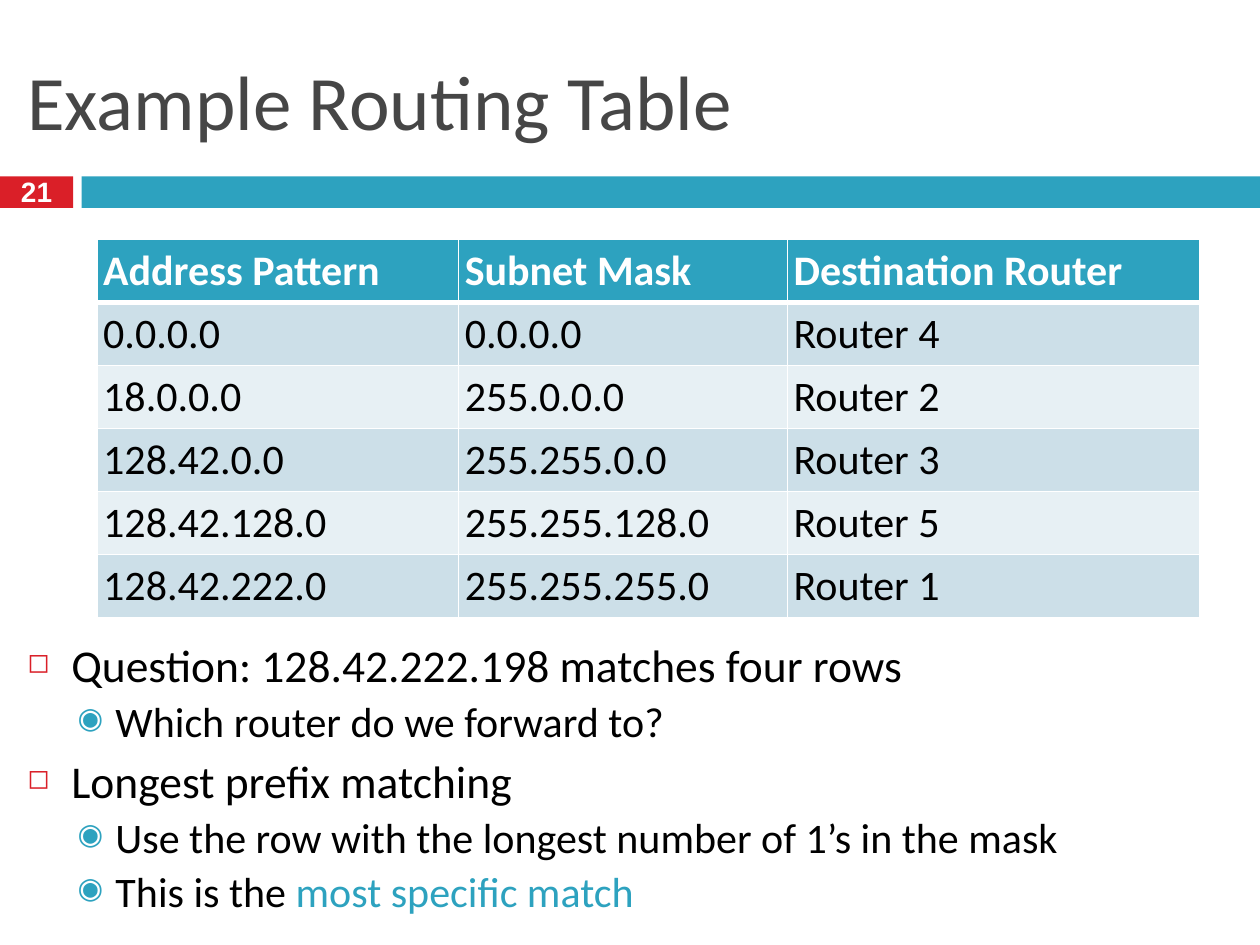
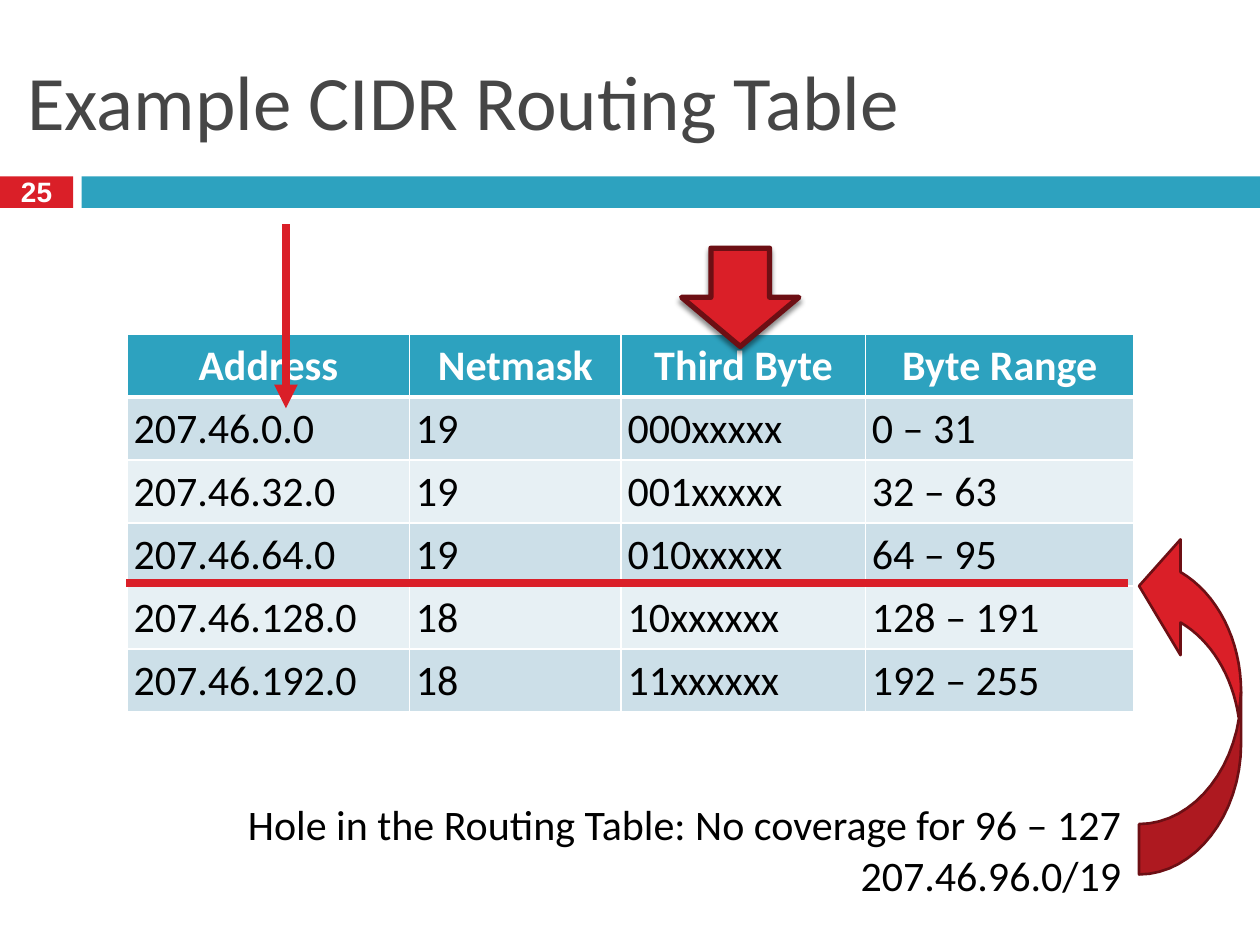
"""Build two slides on routing tables: longest prefix matching and CIDR."""
import dataclasses

import lxml.etree
import pptx
import pptx.dml.color
import pptx.enum.shapes
import pptx.enum.text
import pptx.oxml.ns
import pptx.util

Pt = pptx.util.Pt
RGB = pptx.dml.color.RGBColor.from_string
ALIGN = pptx.enum.text.PP_ALIGN
SHAPE = pptx.enum.shapes.MSO_SHAPE
STRAIGHT = pptx.enum.shapes.MSO_CONNECTOR.STRAIGHT
MIDDLE = pptx.enum.text.MSO_ANCHOR.MIDDLE


@dataclasses.dataclass(frozen=True)
class Theme:
    red: str = "DA1F28"
    tail_red: str = "AE1920"
    outline_red: str = "6D0F14"
    teal: str = "2DA2BF"
    row_dark: str = "CCDFE8"
    row_light: str = "E7F0F4"
    title: str = "464646"
    black: str = "000000"
    white: str = "FFFFFF"
    font: str = "Calibri"
    number_font: str = "Arial"
    title_size: int = 44
    lead_size: int = 26
    text_size: int = 24
    number_size: int = 16
    inset: float = 3.6


theme = Theme()


def add_node(parent, tag, **attributes):
    node = lxml.etree.SubElement(parent, pptx.oxml.ns.qn(tag))
    for name, value in attributes.items():
        node.set(name, str(value))
    return node


def write_line(frame, index, text, size, color, font=theme.font, bold=False, align=ALIGN.LEFT):
    frame.margin_left = frame.margin_right = Pt(theme.inset)
    frame.margin_top = frame.margin_bottom = Pt(theme.inset)
    para = frame.paragraphs[0] if index == 0 else frame.add_paragraph()
    para.alignment = align
    para.add_run().text = text
    para.font.name = font
    para.font.size = Pt(size)
    para.font.bold = bold
    para.font.color.rgb = RGB(color)
    return para


deck = pptx.Presentation()
deck.slide_width, deck.slide_height = Pt(720), Pt(540)

slides = [
    dict(
        title="Example Routing Table", number="21",
        left=55.4, top=136.8, header_align=ALIGN.LEFT,
        widths=[206.6, 187.9, 235.5],
        rows=[
            ["Address Pattern", "Subnet Mask", "Destination Router"],
            ["0.0.0.0", "0.0.0.0", "Router 4"],
            ["18.0.0.0", "255.0.0.0", "Router 2"],
            ["128.42.0.0", "255.255.0.0", "Router 3"],
            ["128.42.128.0", "255.255.128.0", "Router 5"],
            ["128.42.222.0", "255.255.255.0", "Router 1"],
        ],
    ),
    dict(
        title="Example CIDR Routing Table", number="25",
        left=72.7, top=190.8, header_align=ALIGN.CENTER,
        widths=[161.3, 121, 139.7, 153.3],
        rows=[
            ["Address", "Netmask", "Third Byte", "Byte Range"],
            ["207.46.0.0", "19", "000xxxxx", "0 – 31"],
            ["207.46.32.0", "19", "001xxxxx", "32 – 63"],
            ["207.46.64.0", "19", "010xxxxx", "64 – 95"],
            ["207.46.128.0", "18", "10xxxxxx", "128 – 191"],
            ["207.46.192.0", "18", "11xxxxxx", "192 – 255"],
        ],
    ),
]
row_height = 29.2

pages = []
for content in slides:
    page = deck.slides.add_slide(deck.slide_layouts[6])
    pages.append(page)

    for left, width, color in [(0, 41.9, theme.red), (46.6, 673.4, theme.teal)]:
        band = page.shapes.add_shape(SHAPE.RECTANGLE, Pt(left), Pt(100.8), Pt(width), Pt(18))
        band.shadow.inherit = False
        band.fill.solid()
        band.fill.fore_color.rgb = RGB(color)
        band.line.fill.background()

    title = page.shapes.add_textbox(Pt(12), Pt(18), Pt(696), Pt(78)).text_frame
    title.word_wrap = True
    title.vertical_anchor = MIDDLE
    write_line(title, 0, content["title"], theme.title_size, theme.title)

    number = page.shapes.add_textbox(Pt(8.4), Pt(98.6), Pt(25), Pt(25)).text_frame
    number.word_wrap = False
    number.vertical_anchor = MIDDLE
    para = write_line(number, 0, content["number"], theme.number_size, theme.white,
                      theme.number_font, True, ALIGN.CENTER)
    para.line_spacing = 0.8

    rows, widths = content["rows"], content["widths"]
    table = page.shapes.add_table(
        len(rows), len(widths), Pt(content["left"]), Pt(content["top"]),
        Pt(sum(widths)), Pt(row_height * len(rows))).table
    table.horz_banding = False
    for column, width in zip(table.columns, widths):
        column.width = Pt(width)
    for row_index, texts in enumerate(rows):
        table.rows[row_index].height = Pt(row_height)
        header = row_index == 0
        if header:
            fill = theme.teal
        else:
            fill = theme.row_dark if row_index % 2 else theme.row_light
        for column_index, text in enumerate(texts):
            cell = table.cell(row_index, column_index)
            write_line(cell.text_frame, 0, text, theme.text_size,
                       theme.white if header else theme.black, bold=header,
                       align=content["header_align"] if header else ALIGN.LEFT)
            cell.margin_left = cell.margin_right = Pt(theme.inset)
            cell.margin_top = cell.margin_bottom = Pt(theme.inset)
            properties = cell._tc.get_or_add_tcPr()
            for side in "LRTB":
                thick = (row_index, side) in [(0, "B"), (1, "T")]
                border = add_node(properties, f"a:ln{side}", w=Pt(3 if thick else 1))
                add_node(add_node(border, "a:solidFill"), "a:srgbClr", val=theme.white)
            cell.fill.solid()
            cell.fill.fore_color.rgb = RGB(fill)

routing_page, cidr_page = pages

bullet_levels = [
    dict(size=theme.lead_size, margin=25.2, indent=-25.2, before=7,
         mark="◻", color=theme.red, percent=60000),
    dict(size=theme.text_size, margin=50.4, indent=-21.6, before=5,
         mark="◉", color=theme.teal, percent=70000),
]
bullets = [
    (0, "Question: 128.42.222.198 matches four rows", ""),
    (1, "Which router do we forward to?", ""),
    (0, "Longest prefix matching", ""),
    (1, "Use the row with the longest number of 1’s in the mask", ""),
    (1, "This is the ", "most specific match"),
]
body = routing_page.shapes.add_textbox(Pt(12), Pt(364.3), Pt(708), Pt(175.7)).text_frame
body.word_wrap = True
for index, (level, text, accent) in enumerate(bullets):
    style = bullet_levels[level]
    para = body.paragraphs[0] if index == 0 else body.add_paragraph()
    para.level = level
    para.line_spacing = 0.9
    para.space_before = Pt(style["before"] if index else 0)
    properties = para._p.get_or_add_pPr()
    properties.set("marL", str(Pt(style["margin"])))
    properties.set("indent", str(Pt(style["indent"])))
    add_node(add_node(properties, "a:buClr"), "a:srgbClr", val=style["color"])
    add_node(properties, "a:buSzPct", val=style["percent"])
    add_node(properties, "a:buChar", char=style["mark"])
    if index:
        body._txBody.remove(para._p)
    written = write_line(body, index, text, style["size"], theme.black)
    if index:
        written._p.insert(0, properties)
        written._p.remove(written._p.findall(pptx.oxml.ns.qn("a:pPr"))[1])
        written.font.name = theme.font
        written.font.size = Pt(style["size"])
        written.font.color.rgb = RGB(theme.black)
    if accent:
        span = written.add_run()
        span.text = accent
        span.font.color.rgb = RGB(theme.teal)

byte_arrow = cidr_page.shapes.add_shape(SHAPE.DOWN_ARROW, Pt(389.5), Pt(141.8), Pt(67), Pt(56.2))
byte_arrow.fill.solid()
byte_arrow.fill.fore_color.rgb = RGB(theme.red)
byte_arrow.line.color.rgb = RGB(theme.outline_red)
byte_arrow.line.width = Pt(3)
effects = add_node(byte_arrow._element.spPr, "a:effectLst")
shadow = add_node(effects, "a:outerShdw", blurRad=Pt(3), dist=Pt(2.4), dir=5400000, rotWithShape=0)
add_node(add_node(shadow, "a:srgbClr", val=theme.black), "a:alpha", val=45000)

hole_note = cidr_page.shapes.add_textbox(Pt(125.3), Pt(452.9), Pt(519.1), Pt(61.2)).text_frame
hole_note.word_wrap = False
hole_note.auto_size = pptx.enum.text.MSO_AUTO_SIZE.SHAPE_TO_FIT_TEXT
for index, text in enumerate(["Hole in the Routing Table: No coverage for 96 – 127",
                              "207.46.96.0/19"]):
    write_line(hole_note, index, text, theme.text_size, theme.black, align=ALIGN.RIGHT)

curved_arrow = [
    (theme.red, [
        [(650.9, 334.8)], [(674.6, 308.2)], [(674.6, 326.9)],
        [(695.5, 339.1), (709.2, 365.8), (709.2, 395.3)],
        [(707.8, 409.7)],
        [(704.2, 385.9), (691.9, 365.8), (674.6, 355.7)],
        [(674.6, 374.4)],
    ]),
    (theme.tail_red, [
        [(709.2, 424.8)],
        [(709.2, 465.8), (682.6, 499.7), (650.9, 499.7)],
        [(650.9, 470.9)],
        [(682.6, 470.9), (709.2, 437), (709.2, 395.3)],
    ]),
]
curve_steps = 16
for color, segments in curved_arrow:
    points = []
    for segment in segments:
        if len(segment) == 1:
            points += segment
            continue
        controls = [points[-1]] + segment
        for step in range(1, curve_steps + 1):
            t = step / curve_steps
            weights = [(1 - t) ** 3, 3 * t * (1 - t) ** 2, 3 * t ** 2 * (1 - t), t ** 3]
            points.append(tuple(sum(weight * control[axis]
                                    for weight, control in zip(weights, controls))
                                for axis in (0, 1)))
    corners = [(Pt(x), Pt(y)) for x, y in points]
    builder = cidr_page.shapes.build_freeform(*corners[0])
    builder.add_line_segments(corners[1:], close=True)
    piece = builder.convert_to_shape()
    piece.shadow.inherit = False
    piece.fill.solid()
    piece.fill.fore_color.rgb = RGB(color)
    piece.line.color.rgb = RGB(theme.outline_red)
    piece.line.width = Pt(1.5)

for start, end, pointed in [((163.4, 128.2), (163.4, 233.3), True),
                            ((72, 333.4), (644.4, 333.4), False)]:
    marker = cidr_page.shapes.add_connector(STRAIGHT, *map(Pt, start + end))
    marker.line.color.rgb = RGB(theme.red)
    marker.line.width = Pt(4.5)
    if pointed:
        add_node(marker.line._get_or_add_ln(), "a:tailEnd", type="triangle")
    add_node(marker._element.spPr, "a:effectLst")

deck.save("out.pptx")
